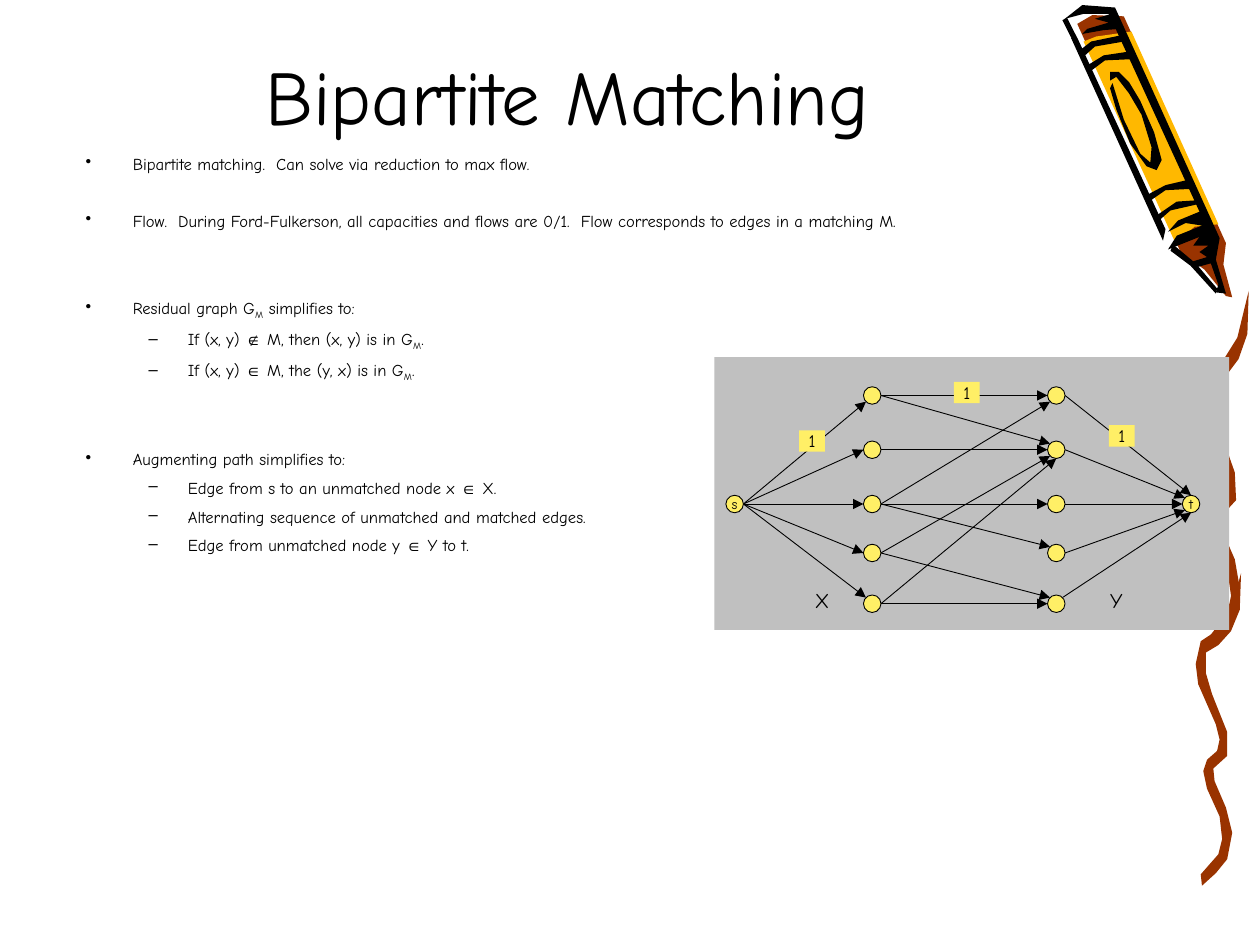
import collections
import dataclasses
import math

import pptx
import pptx.dml.color
import pptx.enum.shapes
import pptx.enum.text
import pptx.oxml.ns
import pptx.oxml.xmlchemy
import pptx.util

Pt = pptx.util.Pt
Element = pptx.oxml.xmlchemy.OxmlElement
Align = pptx.enum.text.PP_ALIGN
Anchor = pptx.enum.text.MSO_ANCHOR
Shape = pptx.enum.shapes.MSO_SHAPE
Box = collections.namedtuple("Box", "x y w h")


@dataclasses.dataclass(frozen=True)
class Theme:
    font: str = "Comic Neue"
    math: str = "Arial"
    ink: str = "000000"
    rust: str = "993300"
    gold: str = "FFB800"
    lemon: str = "FFEF66"
    gray: str = "C0C0C0"
    title: float = 44
    body: float = 9.5
    node: float = 8
    tag: float = 10
    side: float = 12


THEME = Theme()
GRID = 0.72  # points per grid unit of the drawn outlines

RUST = "10,19 92,200 111,214 128,235 133,236 126,210 128,193 47,13 22,12"
GOLD = "88,193 103,180 122,178 53,25 25,29 15,33"
INK = [
    "84,199 100,211 120,233 121,229 104,209 86,194",
    "14,27 31,24 44,23 37,11 24,15 35,18 18,23",
    "36,70 41,87 52,114 65,132 73,135 77,127 71,105 60,80 51,65 43,57 36,57 "
    "36,64 41,61 51,74 61,91 69,117 68,129 60,122 47,95 38,66",
    "5,30 78,191 80,182 10,30",
    "82,198 89,187 109,179 96,177 82,184 90,175 107,168 35,11 15,11 0,15 14,4 "
    "40,6 123,189 120,206 128,233 120,232 122,226 116,209 105,212 100,208 "
    "113,204 107,200 114,195 102,195 107,188",
    "76,174 84,167 106,162 104,159 89,160 73,171",
    "67,160 80,151 100,150 97,143 80,147 65,155",
    "20,57 32,48 54,47 51,41 31,44 18,52",
    "15,45 24,37 47,33 45,28 21,33 12,40",
]
WAVES = [
    "4,463 18,447 21,435 19,417 9,395 6,381 9,372 17,365 19,356 16,344 2,312 "
    "0,296 4,278 16,270 27,256 36,224 35,253 28,270 18,281 8,287 8,303 13,320 "
    "25,350 25,369 14,379 15,389 24,410 29,430 25,451 16,462 5,472",
    "11,274 25,256 28,242 25,221 15,196 13,180 15,170 24,162 26,152 23,138 "
    "8,101 7,82 11,62 23,53 33,37 42,0 41,34 34,54 25,66 15,73 14,91 19,110 "
    "31,144 32,166 21,178 21,190 31,213 35,236 31,260 23,273 12,284",
]

# level, space before, runs (text, kind)
LINES = [
    (0, 0, [("Bipartite matching.  Can solve via reduction to max flow.", "")]),
    (0, 21.5, [("Flow.  During Ford-Fulkerson, all capacities and flows are 0/1.  "
                "Flow corresponds to edges in a matching M.", "")]),
    (0, 38, [("Residual graph G", ""), ("M", "sub"), (" simplifies to:", "")]),
    (1, 5, [("If (x, y) ", ""), ("∉", "math"), (" M, then (x, y) is in G", ""),
            ("M", "sub"), (".", "")]),
    (1, 5, [("If (x, y) ", ""), ("∈", "math"), (" M, the (y, x) is in G", ""),
            ("M", "sub"), (".", "")]),
    (0, 38, [("Augmenting path simplifies to:", "")]),
    (1, 5, [("Edge from s to an unmatched node x ", ""), ("∈", "math"), (" X.", "")]),
    (1, 5, [("Alternating sequence of unmatched and matched edges.", "")]),
    (1, 5, [("Edge from unmatched node y ", ""), ("∈", "math"), (" Y to t.", "")]),
]
LEVELS = [("•", 27, -27), ("–", 58.5, -22.5)]  # mark, margin, indent

# from, to, angle on the rim of the target (0 is right, 90 is up)
EDGES = [
    ("s", "x0", 225), ("s", "x1", 180), ("s", "x2", 180), ("s", "x3", 180),
    ("s", "x4", 135), ("x0", "y0", 180), ("x0", "y1", 135), ("x1", "y1", 180),
    ("x2", "y0", 225), ("x2", "y2", 180), ("x2", "y3", 135), ("x3", "y1", 225),
    ("x3", "y4", 135), ("x4", "y1", 270), ("x4", "y4", 180), ("y0", "t", 90),
    ("y1", "t", 135), ("y2", "t", 180), ("y3", "t", 225), ("y4", "t", 270),
]


def color(name):
    return pptx.dml.color.RGBColor.from_string(name)


def place(shape, box):
    shape.left, shape.top, shape.width, shape.height = map(Pt, box)


def paint(shape, fill, line=None):
    shape.shadow.inherit = False
    shape.fill.solid()
    shape.fill.fore_color.rgb = color(fill)
    if line:
        shape.line.color.rgb = color(THEME.ink)
        shape.line.width = Pt(line)
    else:
        shape.line.fill.background()


def write(para, text, size, font=THEME.font):
    run = para.add_run()
    run.text = text
    run.font.name, run.font.size = font, Pt(size)
    run.font.color.rgb = color(THEME.ink)
    return run


def label(shape, text, size, inset=0):
    frame = shape.text_frame
    frame.margin_left = frame.margin_right = Pt(inset)
    frame.margin_top = frame.margin_bottom = Pt(inset / 2)
    frame.word_wrap = False
    para = frame.paragraphs[0]
    para.alignment = Align.CENTER
    write(para, text, size)
    return frame


def draw(slide, box, text, fill):
    """Add a closed outline whose grid points start at the corner of the box."""
    first, *rest = [tuple(map(int, pair.split(","))) for pair in text.split()]
    pen = slide.shapes.build_freeform(*first, scale=Pt(GRID))
    pen.add_line_segments(rest, close=True)
    paint(pen.convert_to_shape(Pt(box.x), Pt(box.y)), fill)


def link(slide, start, end, width, arrow=False):
    line = slide.shapes.add_connector(
        pptx.enum.shapes.MSO_CONNECTOR.STRAIGHT, *map(Pt, (*start, *end)))
    line.line.color.rgb = color(THEME.ink)
    line.line.width = Pt(width)
    props = line._element.spPr
    if arrow:
        tip = Element("a:tailEnd")
        tip.set("type", "triangle")
        props.find(pptx.oxml.ns.qn("a:ln")).append(tip)
    props.append(Element("a:effectLst"))


def crayon(slide, box):
    draw(slide, box, RUST, THEME.rust)
    draw(slide, box, GOLD, THEME.gold)
    for text in INK:
        draw(slide, box, text, THEME.ink)
    link(slide, (box.x, box.y + 10.8), (box.x + 5.8, box.y + 22.3), 3)


def trail(slide, box):
    for text in WAVES:
        draw(slide, box, text, THEME.rust)


def title(slide, box):
    shape = slide.shapes.title
    place(shape, box)
    frame = shape.text_frame
    frame.vertical_anchor = Anchor.BOTTOM
    frame.paragraphs[0].alignment = Align.CENTER
    write(frame.paragraphs[0], "Bipartite Matching", THEME.title)


def bullet(para, level):
    mark, margin, indent = LEVELS[level]
    props = para._p.get_or_add_pPr()
    props.set("marL", str(Pt(margin)))
    props.set("indent", str(Pt(indent)))
    sign = Element("a:buChar")
    sign.set("char", mark)
    props.append(sign)


def body(slide, box):
    frame = slide.shapes.add_textbox(*map(Pt, box)).text_frame
    frame.word_wrap = True
    for i, (level, space, runs) in enumerate(LINES):
        para = frame.add_paragraph() if i else frame.paragraphs[0]
        para.level = level
        bullet(para, level)
        para.space_before = Pt(space)
        for text, kind in runs:
            font = THEME.math if kind == "math" else THEME.font
            run = write(para, text, THEME.body, font)
            if kind == "sub":
                run._r.get_or_add_rPr().set("baseline", "-25000")


def graph(slide, box):
    def add(kind, x, y, w, h):
        return slide.shapes.add_shape(kind, *map(Pt, (box.x + x, box.y + y, w, h)))

    paint(add(Shape.RECTANGLE, 0, 0, box.w, box.h), THEME.gray)
    size, rows = 10, [22, 53, 84, 112, 141]
    nodes = {"s": (11.6, rows[2]), "t": (272.4, rows[2])}
    for side, x in (("x", 90.2), ("y", 195.4)):
        nodes.update({f"{side}{i}": (x, y) for i, y in enumerate(rows)})

    def rim(name, angle):
        x, y = nodes[name]
        turn = math.radians(angle)
        return (box.x + x + size / 2 * math.cos(turn),
                box.y + y - size / 2 * math.sin(turn))

    for tail, head, angle in EDGES:
        leave = 45 if (tail, head) == ("y4", "t") else 0
        link(slide, rim(tail, leave), rim(head, angle), 0.5, arrow=True)
    for name, (x, y) in nodes.items():
        node = add(Shape.OVAL, x - size / 2, y - size / 2, size, size)
        paint(node, THEME.lemon, 0.5)
        if name in "st":
            label(node, name, THEME.node).vertical_anchor = Anchor.MIDDLE
    for x, y in ((48.4, 42), (225.4, 39), (136.9, 14.2)):
        tag = add(Shape.RECTANGLE, x, y, 14.8, 12.2)
        paint(tag, THEME.lemon)
        label(tag, "1", THEME.tag).vertical_anchor = Anchor.TOP
    for name, x in (("X", 50.4), ("Y", 218.6)):
        note = slide.shapes.add_textbox(*map(Pt, (box.x + x, box.y + 128, 22.4, 21.8)))
        label(note, name, THEME.side, 7.2)


def main():
    deck = pptx.Presentation()
    deck.slide_width, deck.slide_height = Pt(720), Pt(540)
    slide = deck.slides.add_slide(deck.slide_layouts[5])
    crayon(slide, Box(608.4, 0, 96, 170))
    trail(slide, Box(683.3, 166.3, 30, 340))
    title(slide, Box(54, -42, 540.7, 126))
    body(slide, Box(41.8, 84.2, 606, 288))
    graph(slide, Box(408.2, 204, 294.2, 156))
    deck.save("out.pptx")


if __name__ == "__main__":
    main()
